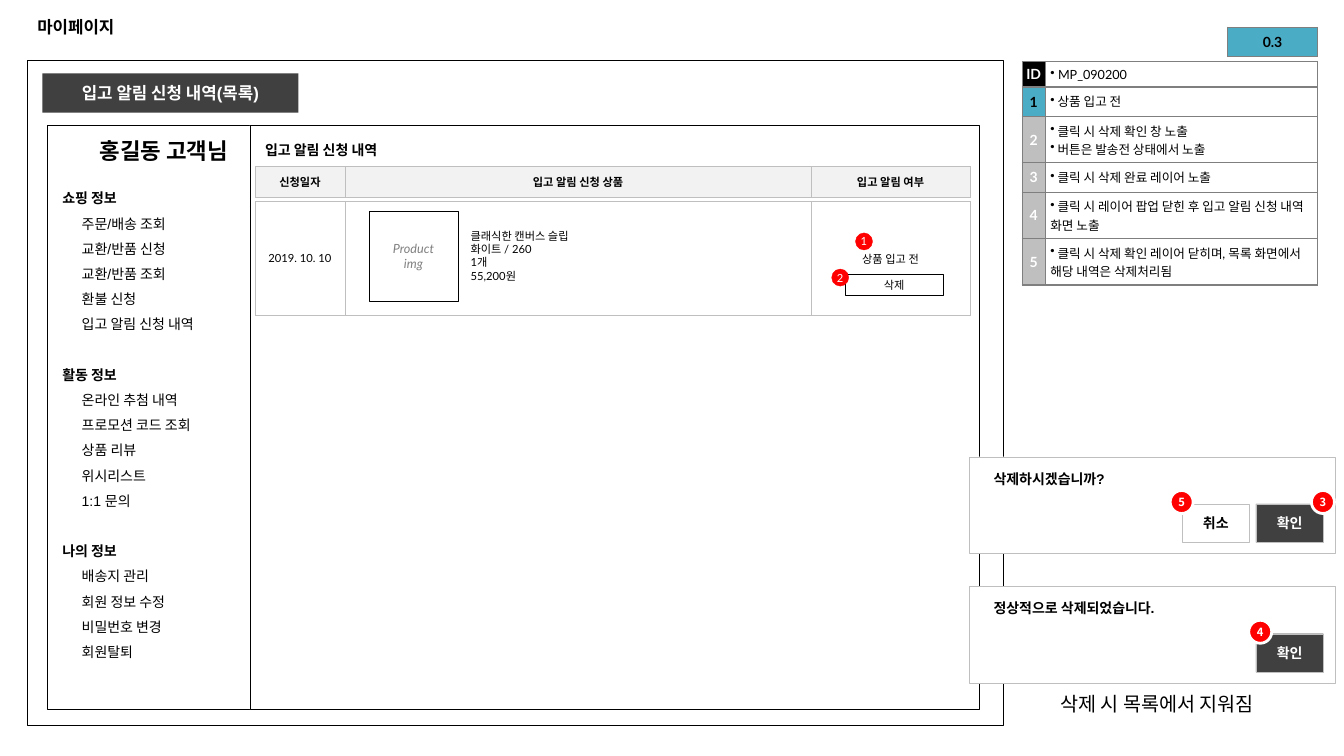
from lxml import etree
from pptx import Presentation
from pptx.enum import shapes, text
from pptx.dml.color import RGBColor
from pptx.oxml import ns
from pptx import util as u

HUE = {"ink": "000000", "paper": "FFFFFF", "dark": "404040", "teal": "4BACC6",
       "grey": "BFBFBF", "edge": "7F7F7F", "pale": "F2F2F2", "mute": "808080",
       "red": "FF0000"}
CJK = "Noto Sans CJK KR"
MID, LEFT = text.PP_ALIGN.CENTER, text.PP_ALIGN.LEFT
OVAL = shapes.MSO_SHAPE.OVAL
RECT = shapes.MSO_SHAPE.RECTANGLE


class Page:
    def __init__(self, deck):
        self.slide = deck.slides.add_slide(deck.slide_layouts[6])
        self.base = {"name": "Lato", "size": 8, "bold": False, "italic": False}

    def hue(self, key):
        return RGBColor.from_string(HUE[key])

    def node(self, parent, tag, **attrs):
        item = etree.SubElement(parent, ns.qn(tag))
        for key, val in attrs.items():
            item.set(key, str(val))
        return item

    def fill_in(self, frame, lines, color="ink", align=LEFT, pitch=None, bullet=False, **style):
        """Each line is a string or a (string, options) pair."""
        for i, line in enumerate(lines):
            words, more = line if isinstance(line, tuple) else (line, {})
            para = frame.paragraphs[0] if i == 0 else frame.add_paragraph()
            para.alignment = align
            if pitch:
                para.line_spacing = u.Pt(pitch)
            if more.get("gap"):
                para.space_before = u.Pt(more["gap"])
            props = para._p.get_or_add_pPr()
            if "indent" in more:
                props.set("marL", str(u.Cm(more["indent"])))
            if bullet:
                self.node(props, "a:buChar", char="•")
            run = para.add_run()
            run.text = words
            form = {**self.base, **style, "bold": more.get("bold", style.get("bold", False))}
            form["size"] = u.Pt(form["size"])
            for key, val in form.items():
                setattr(run.font, key, val)
            run.font.color.rgb = self.hue(color)
            self.node(run._r.get_or_add_rPr(), "a:ea", typeface=CJK)

    def inset(self, item, pad):
        for side in ("left", "right", "top", "bottom"):
            setattr(item, "margin_" + side, u.Cm(pad))

    def box(self, place, lines=(), fill=None, line=None, width=0.25, kind=RECT, pad=None, **style):
        shape = self.slide.shapes.add_shape(kind, *map(u.Cm, place))
        shape.shadow.inherit = False
        for part, key in ((shape.fill, fill), (shape.line.fill, line)):
            if key:
                part.solid()
                part.fore_color.rgb = self.hue(key)
            else:
                part.background()
        if line:
            shape.line.width = u.Pt(width)
        frame = shape.text_frame
        frame.word_wrap = True
        frame.vertical_anchor = text.MSO_ANCHOR.MIDDLE
        if pad is not None:
            self.inset(frame, pad)
        self.fill_in(frame, lines, **{"align": MID, **style})

    def label(self, place, lines, anchor="TOP", pad=None, **style):
        frame = self.slide.shapes.add_textbox(*map(u.Cm, place)).text_frame
        frame.word_wrap = True
        frame.vertical_anchor = getattr(text.MSO_ANCHOR, anchor)
        if pad is not None:
            self.inset(frame, pad)
        self.fill_in(frame, lines, **style)

    def cell(self, cell, lines, edge, width, fill=None, pad=0, anchor="MIDDLE", **style):
        self.inset(cell, pad)
        cell.vertical_anchor = getattr(text.MSO_ANCHOR, anchor)
        if fill:
            cell.fill.solid()
            cell.fill.fore_color.rgb = self.hue(fill)
        else:
            cell.fill.background()
        props = cell._tc.get_or_add_tcPr()
        for i, side in enumerate("LRTB"):
            rule = self.node(props, "a:ln" + side, w=u.Pt(width))
            paint = self.node(rule, "a:solidFill")
            self.node(paint, "a:srgbClr", val=HUE[edge])
            props.insert(i, rule)
        self.fill_in(cell.text_frame, lines, **{"align": MID, **style})

    def grid(self, left, top, cols, rows):
        size = map(u.Cm, (left, top, sum(cols), sum(rows)))
        table = self.slide.shapes.add_table(len(rows), len(cols), *size).table
        for col, width in zip(table.columns, cols):
            col.width = u.Cm(width)
        for row, height in zip(table.rows, rows):
            row.height = u.Cm(height)
        return table

    def strip(self, left, top, cols, height, texts, edge="grey", width=0.25, **style):
        table = self.grid(left, top, cols, [height])
        for cell, words in zip(table.rows[0].cells, texts):
            self.cell(cell, [words] if words else [], edge, width, **style)

    def badge(self, left, top, num):
        self.box((left, top, 0.58, 0.58), [num], "red", "paper", 2, OVAL, 0,
                 name=CJK, color="paper", bold=True)

    def pin(self, left, top, num):
        self.box((left, top, 0.43, 0.43), [num], "red", "red", kind=OVAL, pad=0, color="paper")

    def popup(self, top, words, keys, marks):
        self.box((24.43, top, 9.22, 2.44), fill="paper", line="grey")
        self.label((24.79, top + 0.21, 5.64, 0.69), [words], name="Arial", size=10, bold=True)
        for left, name, fill, color in keys:
            self.box((left, top + 1.19, 1.7, 0.97), [name], fill, "grey",
                     name=CJK, size=10, bold=True, color=color)
        for left, num in marks:
            self.badge(left, top + 0.85, num)


def main():
    deck = Presentation()
    deck.slide_width, deck.slide_height = u.Cm(33.87), u.Cm(19.05)
    page = Page(deck)
    bold = {"name": "Arial", "bold": True}

    # Screen frame and headings
    page.box((0.69, 1.52, 24.61, 16.76), line="ink", width=0.75)
    page.label((0.69, 0.18, 32.49, 0.99), ["마이페이지"], "MIDDLE", size=12, **bold)
    page.box((1.19, 3.15, 5.13, 14.73), fill="paper", line="ink")
    page.box((1.07, 1.85, 6.45, 0.99), ["입고 알림 신청 내역(목록)"], "dark",
             size=12, color="paper", **bold)

    # Description table
    notes = [
        ("ID", "ink", "paper", 0.64, [" MP_090200"]),
        ("1", "teal", "ink", 0.74, [" 상품 입고 전"]),
        ("2", "grey", "paper", 1.17, [" 클릭 시 삭제 확인 창 노출", " 버튼은 발송전 상태에서 노출"]),
        ("3", "grey", "paper", 0.74, [" 클릭 시 삭제 완료 레이어 노출"]),
        ("4", "grey", "paper", 1.17, [" 클릭 시 레이어 팝업 닫힌 후 입고 알림 신청 내역 화면 노출"]),
        ("5", "grey", "paper", 1.17,
         [" 클릭 시 삭제 확인 레이어 닫히며, 목록 화면에서 해당 내역은 삭제처리됨"]),
    ]
    table = page.grid(25.76, 1.55, [0.58, 6.86], [note[3] for note in notes])
    for row, (num, fill, color, _, lines) in zip(table.rows, notes):
        page.cell(row.cells[0], [num], "edge", 1, fill, color=color, size=10, bold=True)
        page.cell(row.cells[1], lines, "edge", 1, pad=0.13, anchor="TOP",
                  align=LEFT, bullet=True, size=9)

    # Side menu
    menu = {
        "쇼핑 정보": ["주문/배송 조회", "교환/반품 신청", "교환/반품 조회", "환불 신청",
                  "입고 알림 신청 내역"],
        "활동 정보": ["온라인 추첨 내역", "프로모션 코드 조회", "상품 리뷰", "위시리스트", "1:1 문의"],
        "나의 정보": ["배송지 관리", "회원 정보 수정", "비밀번호 변경", "회원탈퇴"],
    }
    lines = []
    for head, items in menu.items():
        lines.append((head, {"bold": True, "indent": 0.02, "gap": 18 if lines else 0}))
        lines += [(item, {"indent": 0.51}) for item in items]
    page.label((1.3, 4.45, 5, 12.01), lines, name="Arial", size=10, pitch=18)
    page.label((2.26, 3.38, 4.37, 0.84), ["홍길동 고객님"], size=16, pitch=18, **bold)

    # Request list
    page.box((6.3, 3.15, 18.39, 14.73), fill="paper", line="ink")
    page.label((6.43, 3.25, 5, 0.84), ["입고 알림 신청 내역"], "MIDDLE", size=10, pitch=18, **bold)
    cols = [2.26, 11.76, 3.99]
    page.strip(6.43, 5.08, cols, 2.87, ["2019. 10. 10", "", "상품 입고 전"], fill="paper")
    page.strip(6.43, 4.19, cols, 0.79, ["신청일자", "입고 알림 신청 상품", "입고 알림 여부"],
               fill="pale", bold=True)
    page.box((9.3, 5.33, 2.24, 2.26), ["Product", "img"], line="ink", pad=0.1,
             size=9, italic=True, color="mute")
    page.label((11.76, 5.66, 3.02, 1.57),
               ["클래식한 캔버스 슬립", "화이트 / 260", "1개", "55,200원"], "MIDDLE", 0.1)
    page.box((21.29, 6.91, 2.49, 0.53), ["삭제"], "paper", "ink", name=CJK)

    # Popups and their note
    page.label((26.47, 17.3, 5.99, 0.86), ["삭제 시 목록에서 지워짐"], name=CJK, size=14)
    okay = (31.65, "확인", "dark", "paper")
    undo = (29.79, "취소", "paper", "ink")
    page.popup(11.51, "삭제하시겠습니까?", [okay, undo], [(33.05, "3"), (29.49, "5")])
    page.popup(14.78, "정상적으로 삭제되었습니다.", [okay], [(31.47, "4")])

    # Pins and version
    page.pin(21.56, 5.87, "1")
    page.pin(20.96, 6.78, "2")
    page.strip(30.94, 0.69, [2.26], 0.74, ["0.3"], "edge", 1, fill="teal", size=10, bold=True)

    deck.save("out.pptx")


if __name__ == "__main__":
    main()
